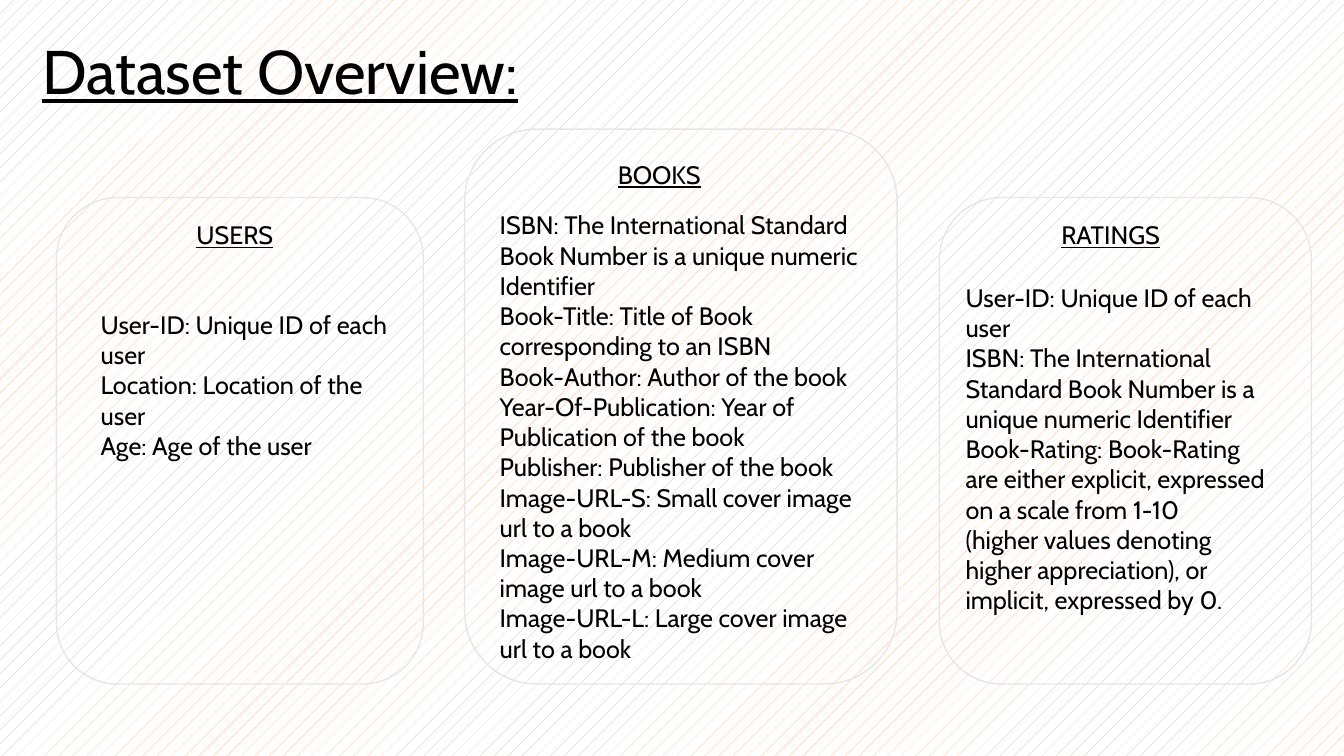
from pptx import Presentation
from pptx.dml.color import RGBColor
from pptx.enum import dml, shapes, text
from pptx.util import Pt

COLORS = {"ink": "000000", "outline": "E7E6E6", "hatch": "F4B183", "paper": "FFFFFF"}
FONT = "Cabin"
TITLE = ("Dataset Overview:", (23, 20.2, 558, 72))
ISBN = "ISBN: The International Standard Book Number is a unique numeric Identifier"
USER_ID = "User-ID: Unique ID of each user"
CARD_BOTTOM = 488.6
HEADING_HEIGHT = 36

TABLES = [
    {
        "heading": "USERS",
        "card": (40.3, 141.1, 262.1),
        "heading_box": (133.2, 153.4, 88.6),
        "body_box": (64.8, 217.4, 221.8, 206.6),
        "fields": [USER_ID, "Location: Location of the user", "Age: Age of the user"],
    },
    {
        "heading": "BOOKS",
        "card": (331.9, 92.2, 308.9),
        "heading_box": (434.2, 110.2, 105.1),
        "body_box": (349.9, 146.2, 283, 331.9),
        "fields": [
            ISBN,
            "Book-Title: Title of Book corresponding to an ISBN",
            "Book-Author: Author of the book",
            "Year-Of-Publication: Year of Publication of the book",
            "Publisher: Publisher of the book",
            "Image-URL-S: Small cover image url to a book",
            "Image-URL-M: Medium cover image url to a book",
            "Image-URL-L: Large cover image url to a book",
        ],
    },
    {
        "heading": "RATINGS",
        "card": (671, 141.1, 265.7),
        "heading_box": (751, 153.4, 99.4),
        "body_box": (682.6, 198, 234.7, 265),
        "fields": [
            USER_ID,
            ISBN,
            "Book-Rating: Book-Rating are either explicit, expressed on a scale from 1-10",
            "(higher values denoting higher appreciation), or implicit, expressed by 0.",
        ],
    },
]


def color(name):
    return RGBColor.from_string(COLORS[name])


def add_text(slide, lines, box, size=18, underline=False):
    frame = slide.shapes.add_textbox(*map(Pt, box)).text_frame
    frame.word_wrap = True
    frame.vertical_anchor = text.MSO_ANCHOR.TOP
    frame.text = "\n".join(lines)
    for paragraph in frame.paragraphs:
        font = paragraph.font
        font.name = FONT
        font.size = Pt(size)
        font.underline = underline
        font.color.rgb = color("ink")


def add_card(slide, left, top, width):
    box = (left, top, width, CARD_BOTTOM - top)
    shape = slide.shapes.add_shape(shapes.MSO_SHAPE.ROUNDED_RECTANGLE, *map(Pt, box))
    shape.shadow.inherit = False
    shape.fill.background()
    shape.line.color.rgb = color("outline")
    shape.line.width = Pt(1)


def main():
    presentation = Presentation()
    presentation.slide_width, presentation.slide_height = Pt(960), Pt(540)
    slide = presentation.slides.add_slide(presentation.slide_layouts[6])

    fill = slide.background.fill
    fill.patterned()
    fill.pattern = dml.MSO_PATTERN.PERCENT_5
    fill.fore_color.rgb = color("hatch")
    fill.back_color.rgb = color("paper")

    title, title_box = TITLE
    add_text(slide, [title], title_box, size=44, underline=True)
    for table in TABLES:
        add_card(slide, *table["card"])
        add_text(slide, [table["heading"]], (*table["heading_box"], HEADING_HEIGHT), underline=True)
        add_text(slide, table["fields"], table["body_box"])

    presentation.save("out.pptx")


if __name__ == "__main__":
    main()
